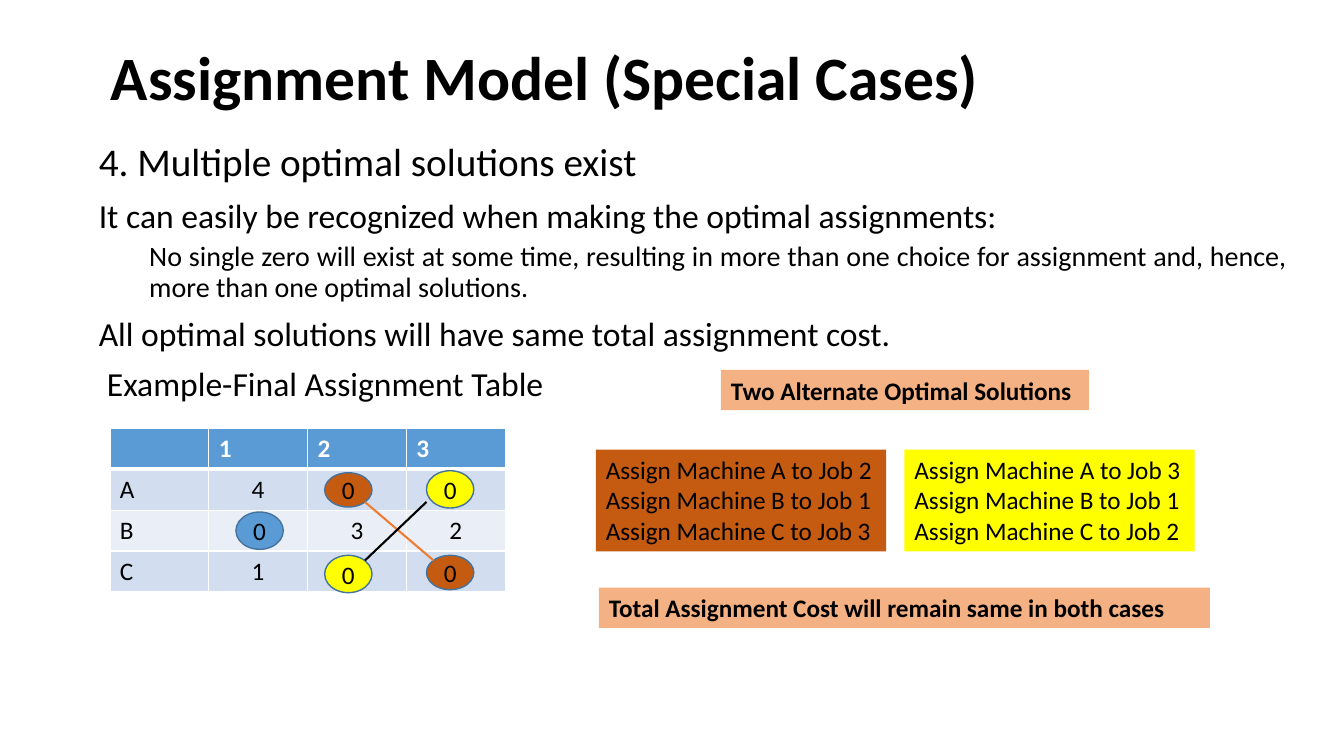
from dataclasses import dataclass

from lxml.etree import SubElement
from pptx import Presentation
from pptx.dml.color import RGBColor
from pptx.enum.shapes import MSO_CONNECTOR, MSO_SHAPE
from pptx.enum.text import MSO_ANCHOR, MSO_AUTO_SIZE, PP_ALIGN
from pptx.oxml.ns import qn
from pptx.util import Emu, Pt

FONT = "Calibri"
BLACK = RGBColor(0x00, 0x00, 0x00)
WHITE = RGBColor(0xFF, 0xFF, 0xFF)
BLUE = RGBColor(0x5B, 0x9B, 0xD5)
DARK_BLUE = RGBColor(0x43, 0x73, 0x9E)
BAND_DARK = RGBColor(0xD2, 0xDE, 0xEF)
BAND_LIGHT = RGBColor(0xEA, 0xEF, 0xF7)
RUST = RGBColor(0xC5, 0x5A, 0x11)
ORANGE = RGBColor(0xED, 0x7D, 0x31)
PEACH = RGBColor(0xF4, 0xB1, 0x83)
YELLOW = RGBColor(0xFF, 0xFF, 0x00)


@dataclass
class Point:
    text: str
    size: int
    before: int = 10
    align: PP_ALIGN = PP_ALIGN.LEFT
    indent: int = 0
    level: int = 0


@dataclass
class Zero:
    left: int
    top: int
    height: int
    color: RGBColor


@dataclass
class Link:
    start: tuple[int, int]
    end: tuple[int, int]
    color: RGBColor


@dataclass
class Note:
    left: int
    top: int
    width: int
    height: int
    color: RGBColor
    lines: list[str]
    bold: bool = False


POINTS = [
    Point("4. Multiple optimal solutions exist", 28, before=0),
    Point("It can easily be recognized when making the optimal assignments:", 24,
          align=PP_ALIGN.JUSTIFY),
    Point("No single zero will exist at some time, resulting in more than one choice for "
          "assignment and, hence, more than one optimal solutions.", 20, before=5,
          align=PP_ALIGN.JUSTIFY, indent=50, level=1),
    Point("All optimal solutions will have same total assignment cost.", 24),
    Point("Example-Final Assignment Table", 24, indent=8),
]
COSTS = [
    ["", "1", "2", "3"],
    ["A", "4", "", ""],
    ["B", "", "3", "2"],
    ["C", "1", "", ""],
]
ROW_FILLS = [BLUE, BAND_DARK, BAND_LIGHT, BAND_DARK]
ZEROS = [
    Zero(234, 508, 37, BLUE),
    Zero(322, 469, 34, RUST),
    Zero(423, 551, 34, RUST),
    Zero(322, 551, 37, YELLOW),
    Zero(423, 467, 37, YELLOW),
]
LINKS = [
    Link((362, 498), (430, 556), ORANGE),
    Link((362, 556), (423, 498), BLACK),
]
NOTES = [
    Note(591, 446, 288, 101, RUST, ["Assign Machine A to Job 2", "Assign Machine B to Job 1",
                                    "Assign Machine C to Job 3"]),
    Note(715, 367, 365, 40, PEACH, ["Two Alternate Optimal Solutions"], bold=True),
    Note(897, 446, 288, 101, YELLOW, ["Assign Machine A to Job 3", "Assign Machine B to Job 1",
                                      "Assign Machine C to Job 2"]),
    Note(594, 583, 606, 40, PEACH, ["Total Assignment Cost will remain same in both cases"],
         bold=True),
]


def px(length: int) -> Emu:
    return Emu(length * 9144)


def place(box, left: int, top: int, width: int, height: int) -> None:
    box.left, box.top, box.width, box.height = map(px, (left, top, width, height))


def add_span(para, text: str, size: int = 18, bold: bool = False,
             color: RGBColor = BLACK) -> None:
    span = para.add_run()
    span.text = text
    span.font.name = FONT
    span.font.size = Pt(size)
    span.font.bold = bold
    span.font.color.rgb = color


def fill_title(title) -> None:
    place(title, 100, 26, 1129, 107)
    frame = title.text_frame
    frame.auto_size = MSO_AUTO_SIZE.NONE
    frame.vertical_anchor = MSO_ANCHOR.MIDDLE
    para = frame.paragraphs[0]
    para.alignment = PP_ALIGN.LEFT
    para.line_spacing = 0.9
    add_span(para, "Assignment Model (Special Cases)", 44, True)


def fill_body(body, points: list[Point]) -> None:
    place(body, 98, 141, 1179, 549)
    frame = body.text_frame
    frame.word_wrap = True
    frame.auto_size = MSO_AUTO_SIZE.NONE
    frame.vertical_anchor = MSO_ANCHOR.TOP
    frame.margin_left = frame.margin_right = frame.margin_bottom = 0
    frame.margin_top = px(1)
    for index, point in enumerate(points):
        para = frame.add_paragraph() if index else frame.paragraphs[0]
        properties = para._p.get_or_add_pPr()
        properties.set("marL", str(px(point.indent)))
        properties.set("indent", "0")
        SubElement(properties, qn("a:buNone"))
        para.level = point.level
        para.alignment = point.align
        para.line_spacing = 0.9
        para.space_before = Pt(point.before)
        add_span(para, point.text, point.size)


def add_borders(cell, bottom: int) -> None:
    properties = cell._tc.get_or_add_tcPr()
    for side, width in (("L", 1), ("R", 1), ("T", 1), ("B", bottom)):
        border = SubElement(properties, qn(f"a:ln{side}"), w=str(Pt(width)))
        paint = SubElement(border, qn("a:solidFill"))
        SubElement(paint, qn("a:srgbClr"), val=str(WHITE))


def add_cost_table(page, costs: list[list[str]]) -> None:
    rows, columns = len(costs), len(costs[0])
    table = page.shapes.add_table(rows, columns, px(109), px(425),
                                  px(98 * columns), px(40 * rows)).table
    for row, values in enumerate(costs):
        for column, value in enumerate(values):
            cell = table.cell(row, column)
            add_borders(cell, 1 if row else 3)
            cell.fill.solid()
            cell.fill.fore_color.rgb = ROW_FILLS[row]
            para = cell.text_frame.paragraphs[0]
            if row and column:
                para.alignment = PP_ALIGN.CENTER
            if value:
                add_span(para, value, bold=row == 0, color=BLACK if row else WHITE)


def add_zero(page, zero: Zero) -> None:
    oval = page.shapes.add_shape(MSO_SHAPE.OVAL, px(zero.left), px(zero.top),
                                 px(47), px(zero.height))
    oval.shadow.inherit = False
    oval.fill.solid()
    oval.fill.fore_color.rgb = zero.color
    oval.line.color.rgb = DARK_BLUE
    oval.line.width = Pt(1)
    oval.text_frame.vertical_anchor = MSO_ANCHOR.MIDDLE
    para = oval.text_frame.paragraphs[0]
    para.alignment = PP_ALIGN.CENTER
    add_span(para, "0")


def add_link(page, link: Link) -> None:
    line = page.shapes.add_connector(MSO_CONNECTOR.STRAIGHT, *map(px, link.start + link.end))
    line.line.color.rgb = link.color
    line.line.width = Pt(1.5)
    SubElement(line._element.spPr, qn("a:effectLst"))


def add_note(page, note: Note) -> None:
    box = page.shapes.add_textbox(px(note.left), px(note.top), px(note.width), px(note.height))
    box.fill.solid()
    box.fill.fore_color.rgb = note.color
    frame = box.text_frame
    frame.word_wrap = True
    for index, text in enumerate(note.lines):
        para = frame.add_paragraph() if index else frame.paragraphs[0]
        add_span(para, text, bold=note.bold)


def main() -> None:
    deck = Presentation()
    deck.slide_width, deck.slide_height = px(1333), px(750)
    page = deck.slides.add_slide(deck.slide_layouts[1])
    fill_title(page.shapes.title)
    fill_body(page.placeholders[1], POINTS)
    add_cost_table(page, COSTS)
    for zero in ZEROS:
        add_zero(page, zero)
    for link in LINKS:
        add_link(page, link)
    for note in NOTES:
        add_note(page, note)
    deck.save("out.pptx")


if __name__ == "__main__":
    main()
